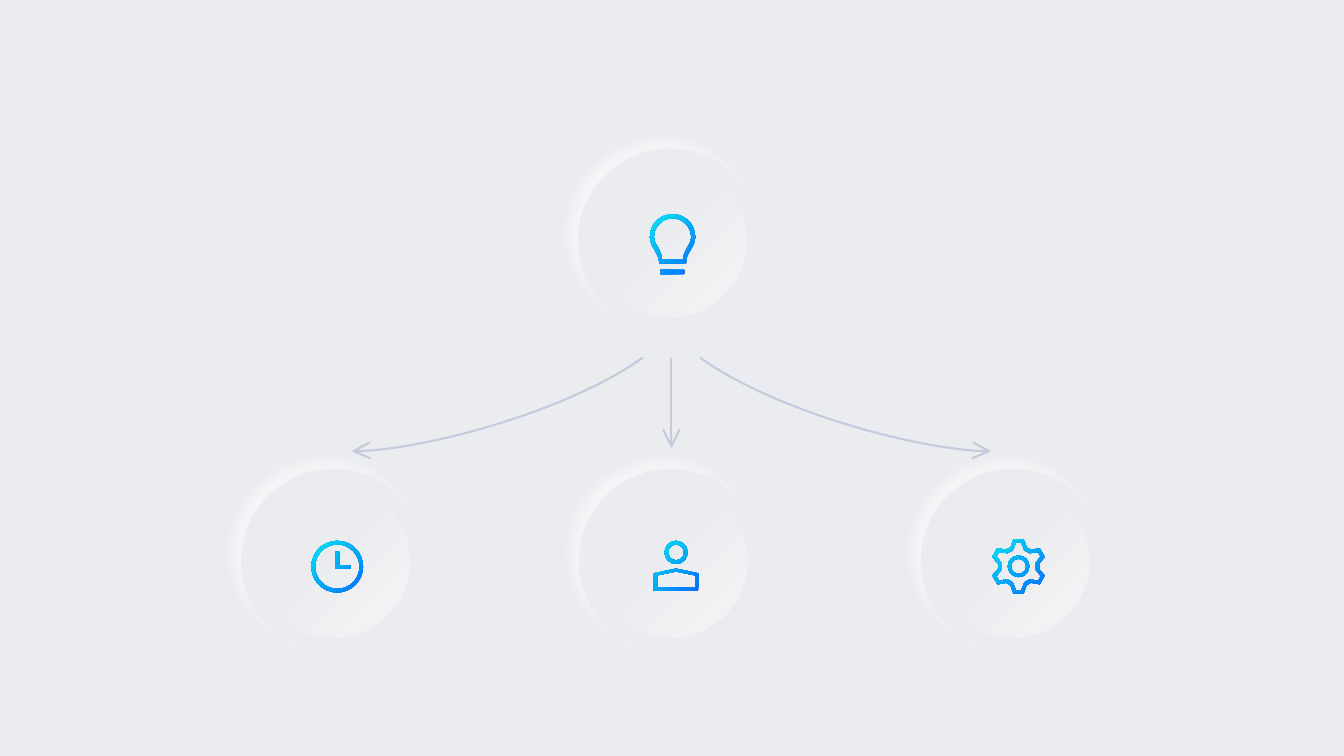
from dataclasses import dataclass
from itertools import islice
from math import cos, radians, sin

from lxml.etree import SubElement
from pptx import Presentation
from pptx.dml.color import RGBColor as Rgb
from pptx.enum.shapes import MSO_CONNECTOR as Connector, MSO_SHAPE as Shape
from pptx.oxml.ns import qn
from pptx.util import Cm, Pt


@dataclass(frozen=True)
class Theme:
    """Colours and line weight of the slide."""
    ground: str = "EBECF0"
    sheen: str = "F4F4F6"
    glow: str = "FFFFFF"
    arrow: str = "C5CADC"
    icon_dark: str = "006EFF"
    icon_light: str = "00E6F2"
    arrow_width: float = 1.5


THEME = Theme()
AXIS = 16.92
DISC, FACE = 4.65, 3.86
ROUND = 0.5523


def polygon(*points):
    """Return a contour of straight segments."""
    return [(point,) for point in points]


def polar(radius, angle):
    """Return the point at a radius and an angle in degrees."""
    return radius * cos(radians(angle)), radius * sin(radians(angle))


def ring(radius, cy=0.0):
    """Return a circular contour of four curves around (0, cy)."""
    contour = [((radius, cy),)]
    for cosine, sine in ((1, 0), (0, 1), (-1, 0), (0, -1)):
        quarter = ((1, ROUND), (ROUND, 1), (0, 1))
        contour.append(tuple((radius * (x * cosine - y * sine),
                              cy + radius * (x * sine + y * cosine)) for x, y in quarter))
    return contour


def mirrored(right_half):
    """Complete a right-hand contour that ends on the axis."""
    points = [point for segment in right_half for point in segment]
    left_points = iter([(-x, y) for x, y in reversed(points[:-1])])
    left_half = [tuple(islice(left_points, len(segment))) for segment in reversed(right_half[1:])]
    return right_half + left_half


def gear_rim(tip, tip_angle, valley, valley_angle):
    """Return the outline of a six-toothed gear."""
    tooth = ((valley, -valley_angle), (tip, -tip_angle), (tip, tip_angle), (valley, valley_angle))
    return polygon(*(polar(radius, 60 * turn + 30 + angle)
                     for turn in range(6) for radius, angle in tooth))


def bulb_glass(profile, waist):
    """Return the outline of a bulb from its right-hand profile."""
    crown = ((waist, -ROUND * waist), (ROUND * waist, -waist), (0, -waist))
    return mirrored(profile + [crown])


def gear():
    """Return the contours of the gear icon."""
    return [gear_rim(0.7, 10.5, 0.52, 22.8), gear_rim(0.61, 6, 0.43, 20), ring(0.27), ring(0.19)]


def bulb():
    """Return the contours of the bulb icon."""
    foot = polygon((0.3, 0.83), (0.3, 0.94), (-0.3, 0.94), (-0.3, 0.83))
    outside = [((0.34, 0.66),), ((0.34, 0.61),), ((0.34, 0.53), (0.37, 0.46), (0.47, 0.3)),
               ((0.53, 0.2), (0.57, 0.1), (0.57, 0))]
    inside = [((0.27, 0.56),), ((0.27, 0.48), (0.29, 0.41), (0.39, 0.23)),
              ((0.44, 0.18), (0.47, 0.08), (0.47, 0))]
    return [foot, bulb_glass(outside, 0.57), bulb_glass(inside, 0.47)]


def person():
    """Return the contours of the person icon."""
    body = mirrored(polygon((0.57, 0.64), (0.57, 0.2), (0, 0.08)))
    hollow = mirrored(polygon((0.48, 0.56), (0.48, 0.25), (0, 0.15)))
    return [body, hollow, ring(0.29, -0.33), ring(0.2, -0.33)]


def clock():
    """Return the contours of the clock icon."""
    hands = polygon((0.33, 0.05), (-0.05, 0.05), (-0.05, -0.37),
                    (0.05, -0.37), (0.05, -0.04), (0.33, -0.04))
    return [ring(0.65), ring(0.56), hands]


def bend_curves(outline, segments):
    """Turn each run of three points into one cubic curve."""
    steps = iter(list(outline._element.spPr.iter(qn("a:lnTo"))))
    for segment in segments:
        curve, *others = islice(steps, len(segment))
        if others:
            curve.tag = qn("a:cubicBezTo")
        for other in others:
            curve.append(other[0])
            other.getparent().remove(other)


def add_outline(shapes, contours, origin=(0, 0), closed=True):
    """Add a freeform made of contours placed around an origin."""
    builder = None
    for contour in contours:
        start, *rest = [(Cm(origin[0] + x), Cm(origin[1] + y))
                        for segment in contour for x, y in segment]
        if builder is None:
            builder = shapes.build_freeform(*start, scale=1.0)
        else:
            builder.move_to(*start)
        builder.add_line_segments(rest, close=closed)
    outline = builder.convert_to_shape()
    outline.shadow.inherit = False
    bend_curves(outline, [segment for contour in contours for segment in contour[1:]])
    return outline


def set_gradient(fill, stops, angle=0):
    """Fill with a two-stop gradient."""
    fill.gradient()
    fill.gradient_angle = angle
    for stop, (position, colour) in zip(fill.gradient_stops, stops):
        stop.position = position
        stop.color.rgb = Rgb.from_string(colour)


def style_stroke(line):
    """Give a line the arrow colour and width."""
    line.color.rgb = Rgb.from_string(THEME.arrow)
    line.width = Pt(THEME.arrow_width)


def add_stroke(shapes, contour):
    """Add an open, unfilled path."""
    stroke = add_outline(shapes, [contour], closed=False)
    stroke.fill.background()
    style_stroke(stroke.line)


def add_curved_arrow(slide, side):
    """Add the arrow that sweeps to the left (-1) or the right (1)."""
    def place(*points):
        return tuple((AXIS + side * x, y) for x, y in points)
    shapes = slide.shapes.add_group_shape().shapes
    tip = (8.01, 11.37)
    add_stroke(shapes, [place(tip), place((6.39, 11.37), (2.66, 10.41), (0.72, 9.01))])
    add_stroke(shapes, polygon(*place((7.58, 11.55), tip, (7.6, 11.15))))


def add_straight_arrow(slide, top=9.01, tip=11.25):
    """Add the arrow that points straight down."""
    shapes = slide.shapes.add_group_shape().shapes
    shaft = shapes.add_connector(Connector.STRAIGHT, Cm(AXIS), Cm(top), Cm(AXIS), Cm(tip))
    style_stroke(shaft.line)
    SubElement(shaft._element.spPr, qn("a:effectLst"))
    barb = tip - 0.43
    add_stroke(shapes, polygon((AXIS + 0.21, barb), (AXIS, tip), (AXIS - 0.21, barb)))


def add_circle(shapes, centre, diameter):
    """Add a borderless circle around a centre."""
    left, top = (Cm(c - diameter / 2) for c in centre)
    circle = shapes.add_shape(Shape.OVAL, left, top, Cm(diameter), Cm(diameter))
    circle.line.fill.background()
    circle.shadow.inherit = False
    return circle


def add_glow(circle):
    """Cast a soft white shadow to the upper left."""
    effects = circle._element.spPr.find(qn("a:effectLst"))
    glow = SubElement(effects, qn("a:outerShdw"), blurRad=str(Pt(9)), dist=str(Pt(9)),
                      dir="13500000", algn="br", rotWithShape="0")
    colour = SubElement(glow, qn("a:srgbClr"), val=THEME.glow)
    SubElement(colour, qn("a:alpha"), val="56000")


def add_button(slide, centre):
    """Add a raised round button with a sheen."""
    shapes = slide.shapes.add_group_shape().shapes
    disc = add_circle(shapes, centre, DISC)
    disc.fill.solid()
    disc.fill.fore_color.rgb = Rgb.from_string(THEME.ground)
    add_glow(disc)
    face = add_circle(shapes, centre, FACE)
    set_gradient(face.fill, ((0.39, THEME.ground), (1, THEME.sheen)))
    gradient = face._element.spPr.find(qn("a:gradFill"))
    gradient.remove(gradient.find(qn("a:lin")))
    radial = SubElement(gradient, qn("a:path"), path="circle")
    SubElement(radial, qn("a:fillToRect"), r="100000", b="100000")


def add_icon(slide, contours, centre):
    """Add an icon with the blue gradient."""
    icon = add_outline(slide.shapes, contours, centre)
    set_gradient(icon.fill, ((0, THEME.icon_dark), (1, THEME.icon_light)), angle=135)
    icon.line.fill.background()


def main():
    """Build and save the slide."""
    deck = Presentation()
    deck.slide_width, deck.slide_height = Cm(33.87), Cm(19.05)
    slide = deck.slides.add_slide(deck.slide_layouts[6])
    slide.background.fill.solid()
    slide.background.fill.fore_color.rgb = Rgb.from_string(THEME.ground)
    for side in (-1, 1):
        add_curved_arrow(slide, side)
    add_straight_arrow(slide)
    for centre in ((16.89, 6.07), (8.4, 14.14), (16.91, 14.14), (25.53, 14.14)):
        add_button(slide, centre)
    for icon, centre in ((gear, (25.67, 14.27)), (bulb, (16.95, 5.97)),
                         (person, (17.04, 14.25)), (clock, (8.5, 14.28))):
        add_icon(slide, icon(), centre)
    deck.save("out.pptx")


if __name__ == "__main__":
    main()
